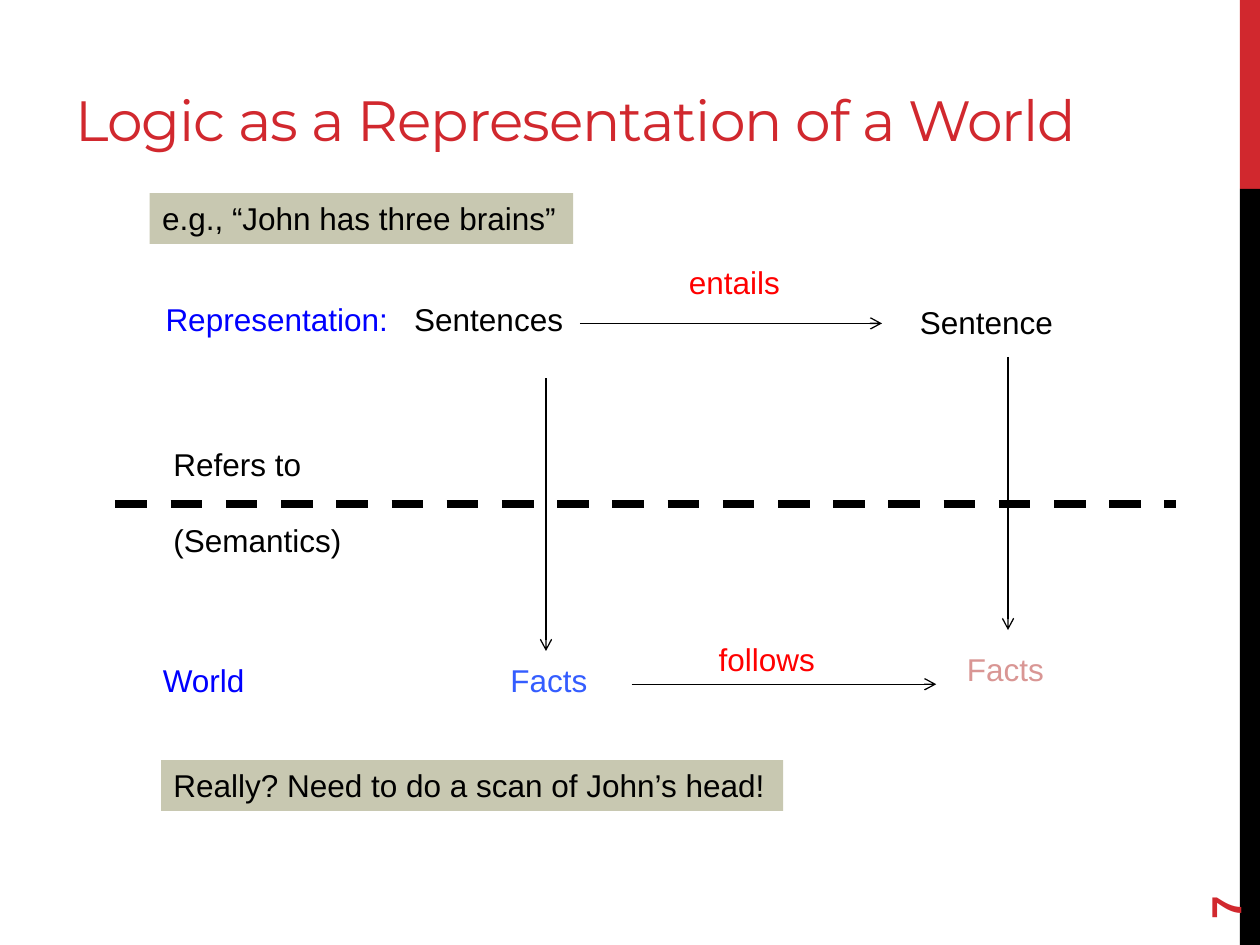
from lxml import etree
from pptx import Presentation
from pptx.dml.color import RGBColor
from pptx.enum import dml, shapes, text
from pptx.oxml import ns
from pptx.util import Pt

COLORS = {
    "accent": "D1282E", "black": "000000", "blue": "0000FF", "red": "FF0000",
    "fact": "345DFF", "entailed_fact": "D99694", "note": "C8C8B1",
}


def color(name):
    return RGBColor.from_string(COLORS[name])


def write(box, lines, ink="black", size=18, font="Arial", bold=False,
          anchor=text.MSO_ANCHOR.TOP, gap=0):
    """Fill a box with left-aligned paragraphs and return the last run."""
    frame = box.text_frame
    frame.word_wrap = True
    frame.vertical_anchor = anchor
    for index, line in enumerate(lines):
        para = frame.add_paragraph() if index else frame.paragraphs[0]
        para.alignment = text.PP_ALIGN.LEFT
        para.space_before = Pt(gap if index else 0)
        span = para.add_run()
        span.text = line
        span.font.name = font
        span.font.size = Pt(size)
        span.font.bold = bold
        span.font.color.rgb = color(ink)
    return span


def add_label(page, place, lines, **style):
    box = page.shapes.add_textbox(*map(Pt, place))
    return box, write(box, lines, **style)


def add_block(page, place, fill):
    block = page.shapes.add_shape(shapes.MSO_SHAPE.RECTANGLE, *map(Pt, place))
    block.shadow.inherit = False
    block.fill.solid()
    block.fill.fore_color.rgb = color(fill)
    block.line.fill.background()
    return block


def add_line(page, ends, width=0.75, arrow=True):
    line = page.shapes.add_connector(shapes.MSO_CONNECTOR.STRAIGHT, *map(Pt, ends))
    line.line.color.rgb = color("black")
    line.line.width = Pt(width)
    if arrow:
        etree.SubElement(line.line._get_or_add_ln(), ns.qn("a:tailEnd"), type="arrow")
    else:
        line.line.dash_style = dml.MSO_LINE.DASH
    etree.SubElement(line._element.spPr, ns.qn("a:effectLst"))


def main():
    deck = Presentation()
    deck.slide_width, deck.slide_height = Pt(720), Pt(540)
    page = deck.slides.add_slide(deck.slide_layouts[6])

    # Side bar, title and page number
    add_block(page, (708.5, 0, 11.5, 108), "accent")
    add_block(page, (708.5, 108, 11.5, 432), "black")
    _, title = add_label(page, (36, 13, 649.5, 77.8),
                         ["Logic as a Representation of a World"],
                         ink="accent", size=32.4, font="Montserrat",
                         anchor=text.MSO_ANCHOR.BOTTOM)
    title._r.get_or_add_rPr().set("spc", "-60")
    number, _ = add_label(page, (648, 466, 103.7, 28.8), ["7"], ink="accent",
                          size=24, bold=True, anchor=text.MSO_ANCHOR.MIDDLE)
    number.rotation = 270

    # Arrows between sentences and facts
    for ends in (
        (331.4, 184.8, 504, 184.8),
        (576, 204, 576, 360),
        (361, 391, 535, 391),
        (312, 216, 312, 372),
    ):
        add_line(page, ends)

    # Diagram labels: left, top, width, words, colour
    for left, top, width, words, ink in (
        (284.6, 374, 72, "Facts", "fact"),
        (86, 374, 72, "World", "blue"),
        (545.5, 368, 72, "Facts", "entailed_fact"),
        (403.6, 362.3, 80, "follows", "red"),
        (87.5, 168, 145, "Representation:", "blue"),
        (229.6, 168, 104, "Sentences", "black"),
        (518.6, 169.5, 100, "Sentence", "black"),
        (386.6, 146.7, 80, "entails", "red"),
    ):
        add_label(page, (left, top, width, 29), [words], ink=ink)
    add_label(page, (92, 250.8, 120, 72.7), ["Refers to", "(Semantics)"], gap=22)

    # Boundary between representation and world
    add_line(page, (66, 288, 672, 288), width=4.5, arrow=False)

    # Shaded remarks
    for place, words in (
        ((85.5, 110.4, 242, 29), "e.g., “John has three brains”"),
        ((92, 434.4, 355.5, 29), "Really? Need to do a scan of John’s head!"),
    ):
        write(add_block(page, place, "note"), [words])

    deck.save("out.pptx")


main()
